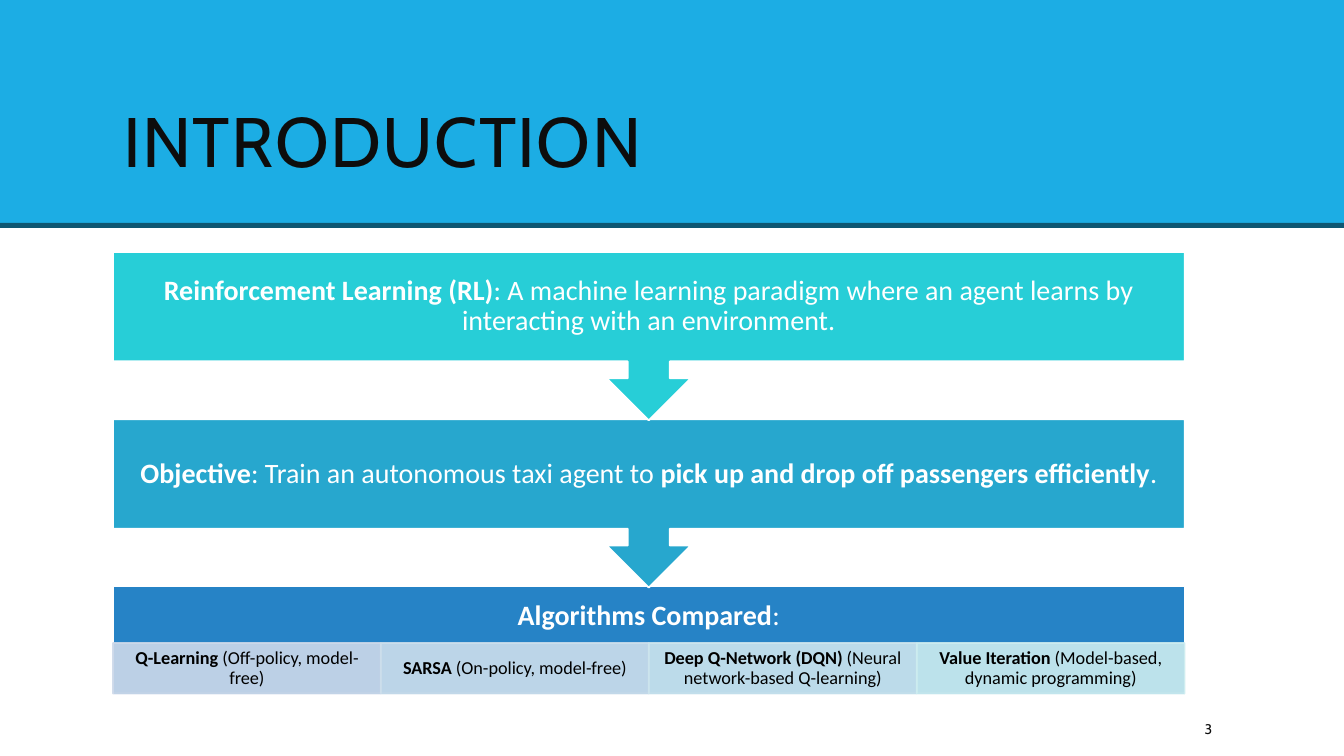
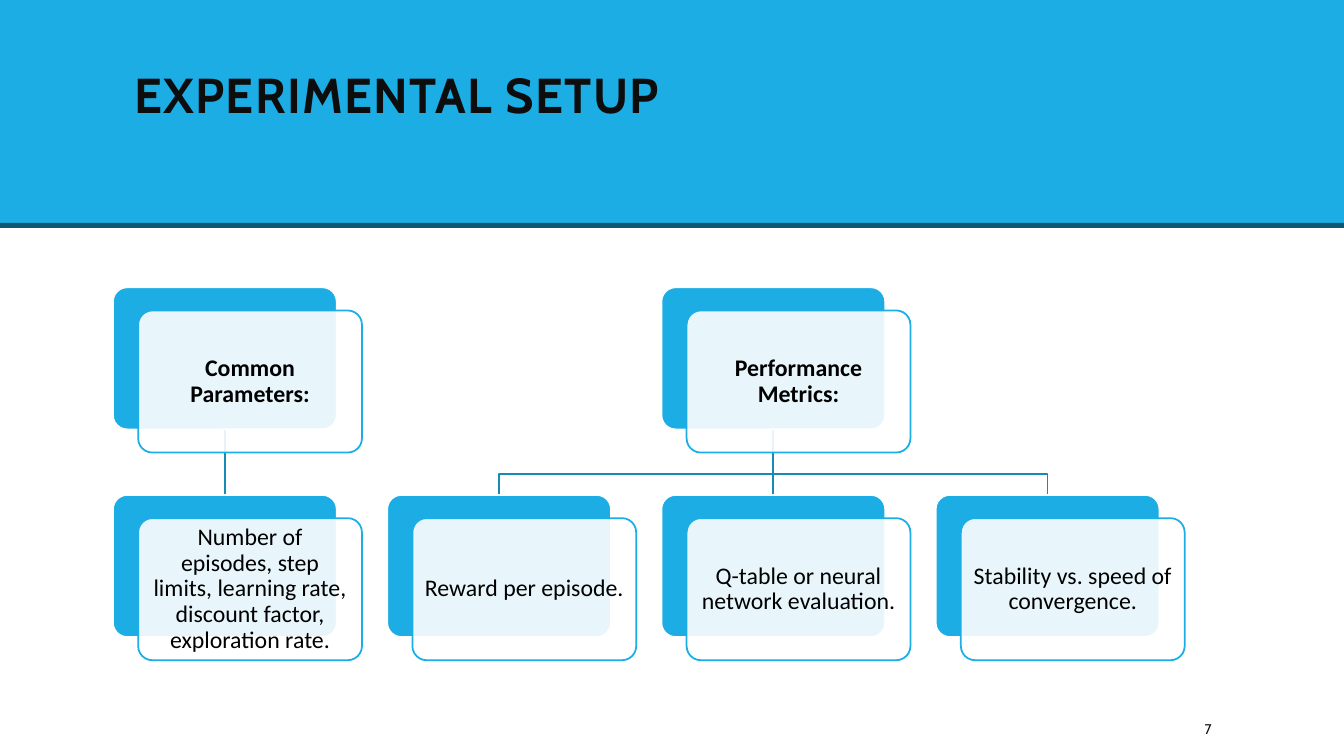
from lxml import etree
from pptx import Presentation
from pptx.dml.color import RGBColor
from pptx.enum.shapes import MSO_CONNECTOR, MSO_SHAPE
from pptx.enum.text import MSO_ANCHOR, MSO_AUTO_SIZE, PP_ALIGN
from pptx.oxml.ns import qn
from pptx.util import Inches, Pt

RECTANGLE = MSO_SHAPE.RECTANGLE
ROUNDED = MSO_SHAPE.ROUNDED_RECTANGLE
ARROW_CALLOUT = MSO_SHAPE.DOWN_ARROW_CALLOUT
STRAIGHT = MSO_CONNECTOR.STRAIGHT
TOP, MIDDLE = MSO_ANCHOR.TOP, MSO_ANCHOR.MIDDLE
LEFT, CENTER = PP_ALIGN.LEFT, PP_ALIGN.CENTER
NO_AUTOFIT = MSO_AUTO_SIZE.NONE

WHITE = RGBColor(0xFF, 0xFF, 0xFF)
BLACK = RGBColor(0x00, 0x00, 0x00)
INK = RGBColor(0x0D, 0x0D, 0x0D)
SKY = RGBColor(0x1C, 0xAD, 0xE4)
NAVY = RGBColor(0x0E, 0x57, 0x72)
TURQUOISE = RGBColor(0x27, 0xCE, 0xD7)
TEAL = RGBColor(0x27, 0xA7, 0xCE)
BLUE = RGBColor(0x26, 0x83, 0xC6)
BRANCH_BLUE = RGBColor(0x16, 0x8B, 0xB7)

HEADING_FONT, BODY_FONT = "Cabin", "Calibri"
OUTLINE = Pt(1.25)
SLIDE_WIDTH, SLIDE_HEIGHT = 13.33, 7.5
CONTENT_LEFT, CONTENT_WIDTH = 1.12, 10.63

STEP_TOP, STEP_PITCH = 2.5, 1.66
CALLOUT_HEIGHT, PANEL_HEIGHT = 1.67, 1.09
STRIP_TOP, STRIP_HEIGHT = 6.38, 0.5

CARD_WIDTH, CARD_HEIGHT = 2.22, 1.41
CARD_PITCH = 2.72
CARD_ROWS = (2.85, 4.91)
FRONT_SHIFT_X, FRONT_SHIFT_Y = 0.25, 0.23
BRANCH_BEND = 4.7

STEPS = [
    (TURQUOISE, [("Reinforcement Learning (RL)", True),
                 (": A machine learning paradigm where an agent learns by "
                  "interacting with an environment.", False)]),
    (TEAL, [("Objective", True),
            (": Train an autonomous taxi agent to ", False),
            ("pick up and drop off passengers efficiently", True),
            (".", False)]),
]
ALGORITHMS = [
    (RGBColor(0xCD, 0xD9, 0xEA), "Q-Learning", " (Off-policy, model-free)"),
    (RGBColor(0xCD, 0xDF, 0xEC), "SARSA", " (On-policy, model-free)"),
    (RGBColor(0xCD, 0xE5, 0xEE), "Deep Q-Network (DQN)",
     " (Neural network-based Q-learning)"),
    (RGBColor(0xCD, 0xED, 0xF0), "Value Iteration",
     " (Model-based, dynamic programming)"),
]
TOPICS = [
    (0, "Common Parameters:",
     {0: "Number of episodes, step limits, learning rate, discount factor, "
         "exploration rate."}),
    (2, "Performance Metrics:",
     {1: "Reward per episode.",
      2: "Q-table or neural network evaluation.",
      3: "Stability vs. speed of convergence."}),
]


def write_text(shape, runs, *, size, color=BLACK, font=BODY_FONT,
               align=CENTER, anchor=MIDDLE, spacing=0.9, tracking=0,
               insets=(0.1, 0.05, 0.1, 0.05)):
    frame = shape.text_frame
    frame.word_wrap = True
    frame.auto_size = NO_AUTOFIT
    frame.vertical_anchor = anchor
    (frame.margin_left, frame.margin_top,
     frame.margin_right, frame.margin_bottom) = map(Inches, insets)
    paragraph = frame.paragraphs[0]
    paragraph.alignment = align
    paragraph.line_spacing = spacing
    for text, bold in runs:
        run = paragraph.add_run()
        run.text = text
        run.font.name = font
        run.font.size = Pt(size)
        run.font.bold = bold
        run.font.color.rgb = color
        if tracking:
            run._r.get_or_add_rPr().set("spc", str(tracking * 100))


def set_opacity(color_format_parent, percent):
    for color in color_format_parent.iter(qn("a:srgbClr")):
        etree.SubElement(color, qn("a:alpha")).set("val", str(percent * 1000))


def add_box(slide, kind, left, top, width, height, fill, line=None):
    shape = slide.shapes.add_shape(
        kind, Inches(left), Inches(top), Inches(width), Inches(height))
    shape.shadow.inherit = False
    shape.fill.solid()
    shape.fill.fore_color.rgb = fill
    if line is None:
        shape.line.fill.background()
    else:
        shape.line.color.rgb = line
        shape.line.width = OUTLINE
    return shape


def add_slide(presentation, title, number, *, size, bold=False,
              anchor=MIDDLE, insets=(0.1, 0.05, 0.1, 0.05)):
    slide = presentation.slides.add_slide(presentation.slide_layouts[5])
    add_box(slide, RECTANGLE, 0, 0, SLIDE_WIDTH, 2.24, SKY)
    add_box(slide, RECTANGLE, 0, 2.21, SLIDE_WIDTH, 0.05, NAVY)
    heading = slide.shapes.title
    heading.left, heading.top = Inches(CONTENT_LEFT), Inches(0.64)
    heading.width, heading.height = Inches(CONTENT_WIDTH), Inches(1.64)
    write_text(heading, [(title, bold)], size=size, color=INK,
               font=HEADING_FONT, align=LEFT, anchor=anchor, spacing=0.8,
               tracking=1, insets=insets)
    slide.shapes.element.append(heading.element)
    page = slide.shapes.add_textbox(
        Inches(11.85), Inches(7.08), Inches(1.06), Inches(0.3))
    write_text(page, [(number, False)], size=10, color=INK,
               font=HEADING_FONT, align=LEFT, spacing=1.0)
    return slide


def add_algorithms(slide):
    top = STEP_TOP + len(STEPS) * STEP_PITCH
    panel = add_box(slide, RECTANGLE, CONTENT_LEFT, top, CONTENT_WIDTH,
                    PANEL_HEIGHT - 0.02, BLUE, WHITE)
    write_text(panel, [("Algorithms Compared", True), (":", False)],
               size=20, color=WHITE, insets=(0.16, 0.08, 0.16, 0.56))
    width = CONTENT_WIDTH / len(ALGORITHMS)
    for index, (tint, name, detail) in enumerate(ALGORITHMS):
        strip = add_box(slide, RECTANGLE, CONTENT_LEFT + index * width,
                        STRIP_TOP, width, STRIP_HEIGHT, tint, tint)
        set_opacity(strip.element.spPr, 90)
        write_text(strip, [(name, True), (detail, False)], size=13,
                   insets=(0.1, 0.02, 0.1, 0.02))


def add_steps(slide):
    for index, (fill, runs) in reversed(list(enumerate(STEPS))):
        callout = add_box(slide, ARROW_CALLOUT, CONTENT_LEFT,
                          STEP_TOP + index * STEP_PITCH, CONTENT_WIDTH,
                          CALLOUT_HEIGHT, fill, WHITE)
        write_text(callout, runs, size=20, color=WHITE, insets=(0.16,) * 4)


def card_left(column):
    return CONTENT_LEFT + column * CARD_PITCH


def add_branch(slide, parent, child):
    start_x, end_x = (Inches(card_left(column) + CARD_WIDTH / 2)
                      for column in (parent, child))
    start_y, end_y = Inches(CARD_ROWS[0] + CARD_HEIGHT), Inches(CARD_ROWS[1])
    if parent == child:
        branch = slide.shapes.add_connector(
            STRAIGHT, start_x, start_y, end_x, end_y)
        etree.SubElement(branch.element.spPr, qn("a:effectLst"))
    else:
        bend = Inches(BRANCH_BEND)
        builder = slide.shapes.build_freeform(start_x, start_y)
        builder.add_line_segments(
            [(start_x, bend), (end_x, bend), (end_x, end_y)], close=False)
        branch = builder.convert_to_shape()
        branch.shadow.inherit = False
        branch.fill.background()
    branch.line.color.rgb = BRANCH_BLUE
    branch.line.width = OUTLINE


def add_card(slide, column, row, text, bold=False):
    left, top = card_left(column), CARD_ROWS[row]
    back = add_box(slide, ROUNDED, left, top, CARD_WIDTH, CARD_HEIGHT,
                   SKY, WHITE)
    front = add_box(slide, ROUNDED, left + FRONT_SHIFT_X, top + FRONT_SHIFT_Y,
                    CARD_WIDTH, CARD_HEIGHT, WHITE, SKY)
    for shape in (back, front):
        shape.adjustments[0] = 0.1
    set_opacity(front.element.spPr.find(qn("a:solidFill")), 90)
    write_text(front, [(text, bold)], size=17, insets=(0.07,) * 4)


def add_topics(slide):
    for column, _, children in TOPICS:
        for child in children:
            add_branch(slide, column, child)
    for column, heading, children in TOPICS:
        add_card(slide, column, 0, heading, bold=True)
        for child, text in children.items():
            add_card(slide, child, 1, text)


def main():
    presentation = Presentation()
    presentation.slide_width = Inches(SLIDE_WIDTH)
    presentation.slide_height = Inches(SLIDE_HEIGHT)

    introduction = add_slide(presentation, "INTRODUCTION", "3", size=50)
    add_algorithms(introduction)
    add_steps(introduction)

    setup = add_slide(presentation, "EXPERIMENTAL SETUP", "7", size=35,
                      bold=True, anchor=TOP, insets=(0.21, 0.11, 0.1, 0.05))
    add_topics(setup)

    presentation.save("out.pptx")


if __name__ == "__main__":
    main()
